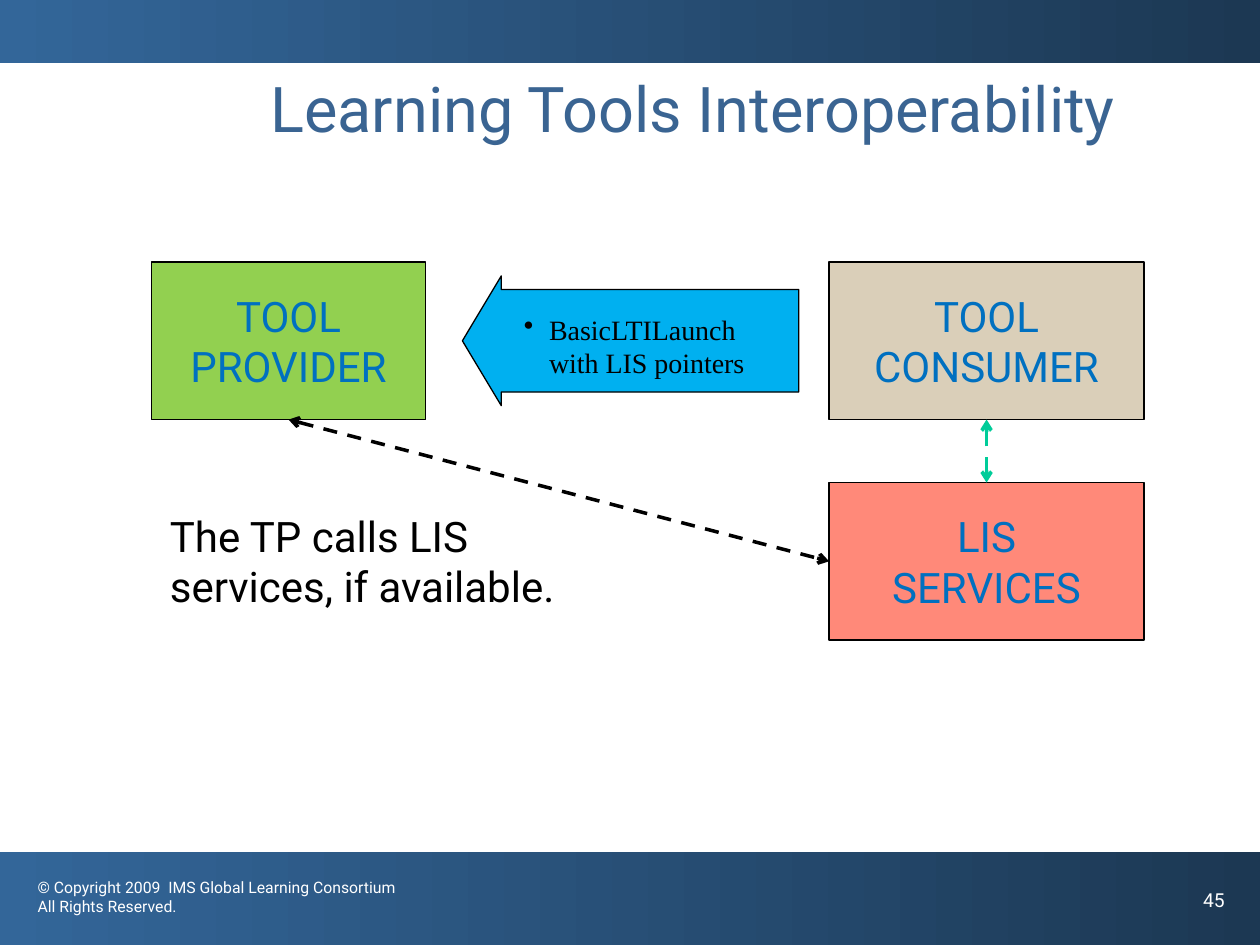
from lxml.etree import SubElement
from pptx import Presentation
from pptx.dml.color import RGBColor
from pptx.enum.dml import MSO_LINE
from pptx.enum.shapes import MSO_CONNECTOR, MSO_SHAPE
from pptx.enum.text import MSO_ANCHOR, PP_ALIGN
from pptx.oxml.ns import qn
from pptx.util import Inches, Pt

COLORS = {
    "band_light": "336699", "band_dark": "1C3853", "white": "FFFFFF",
    "title": "3A6492", "label": "0070C0", "black": "000000",
    "provider": "92D050", "consumer": "DACFB9", "services": "FF8979",
    "launch": "00B0F0", "sync": "00CC99",
}
BOTTOM, LEFT, TOP = 2, 1, 0


def rgb(name):
    """Return the named colour."""
    return RGBColor.from_string(COLORS[name])


def set_format(target, values):
    """Set every attribute in values on target."""
    for name, value in values.items():
        setattr(target, name, value)


def write_text(shape, lines, size, color, font="Roboto", anchor=MSO_ANCHOR.TOP, **paragraph_format):
    """Write one paragraph per line into a shape."""
    frame = shape.text_frame
    set_format(frame, {"word_wrap": True, "vertical_anchor": anchor})
    for index, line in enumerate(lines):
        paragraph = frame.paragraphs[0] if index == 0 else frame.add_paragraph()
        set_format(paragraph, paragraph_format)
        run = paragraph.add_run()
        run.text = line
        set_format(run.font, {"size": Pt(size), "name": font})
        run.font.color.rgb = rgb(color)


def add_text(slide, left, top, width, height, lines, size, color, **options):
    """Add a text box, measured in inches."""
    box = slide.shapes.add_textbox(Inches(left), Inches(top), Inches(width), Inches(height))
    write_text(box, lines, size, color, **options)
    return box


def add_outlined(slide, kind, left, top, width, height, color):
    """Add a filled shape with a thin black outline."""
    shape = slide.shapes.add_shape(kind, Inches(left), Inches(top), Inches(width), Inches(height))
    shape.shadow.inherit = False
    shape.fill.solid()
    shape.fill.fore_color.rgb = rgb(color)
    shape.line.color.rgb = rgb("black")
    shape.line.width = Pt(0.75)
    return shape


def add_band(slide, top, height):
    """Add a full-width gradient band."""
    band = slide.shapes.add_shape(MSO_SHAPE.RECTANGLE, 0, Inches(top), Inches(10), Inches(height))
    band.shadow.inherit = False
    band.line.fill.background()
    band.fill.gradient()
    band.fill.gradient_angle = 0
    for stop, position, color in zip(band.fill.gradient_stops, (0, 1), ("band_light", "band_dark")):
        stop.position = position
        stop.color.rgb = rgb(color)


def add_footer(slide, top, height):
    """Add the footer band with copyright and slide number."""
    add_band(slide, top, height)
    copyright_lines = ["© Copyright 2009  IMS Global Learning Consortium", "All Rights Reserved."]
    add_text(slide, 0.2, top + 0.16, 3.13, 0.5, copyright_lines, 9, "white")
    add_text(slide, 9.45, top + 0.24, 0.55, 0.5, ["45"], 11, "white")


def add_system(slide, left, top, width, height, lines, color):
    """Add a labelled system box."""
    box = add_outlined(slide, MSO_SHAPE.RECTANGLE, left, top, width, height, color)
    write_text(box, lines, 24, "label", anchor=MSO_ANCHOR.MIDDLE, alignment=PP_ALIGN.CENTER)
    return box


def add_launch(slide, left, top, width, height):
    """Add the launch arrow with its bulleted caption."""
    arrow = add_outlined(slide, MSO_SHAPE.LEFT_ARROW, left, top, width, height, "launch")
    arrow.adjustments[0] = 0.79
    arrow.adjustments[1] = 0.3
    caption = add_text(slide, left + 0.39, top + 0.24, 2.03, 0.9,
                       ["BasicLTILaunch with LIS pointers"], 16, "black", font="Times New Roman")
    properties = caption.text_frame.paragraphs[0]._p.get_or_add_pPr()
    properties.set("marL", str(Inches(0.2)))
    properties.set("indent", str(-Inches(0.2)))
    SubElement(properties, qn("a:buChar"), char="•")


def add_link(slide, start, start_site, end, end_site, color):
    """Join two boxes with a dashed double-headed connector."""
    link = slide.shapes.add_connector(MSO_CONNECTOR.STRAIGHT, 0, 0, 0, 0)
    link.begin_connect(start, start_site)
    link.end_connect(end, end_site)
    link.line.color.rgb = rgb(color)
    set_format(link.line, {"width": Pt(2), "dash_style": MSO_LINE.DASH})
    for tag in ("a:headEnd", "a:tailEnd"):
        SubElement(link.line._get_or_add_ln(), qn(tag), type="arrow")
    SubElement(link._element.spPr, qn("a:effectLst"))


def add_diagram(slide, left, top):
    """Add the systems, their links and the remark."""
    right = left + 5.38
    provider = add_system(slide, left, top, 2.18, 1.25, ["TOOL PROVIDER"], "provider")
    consumer = add_system(slide, right, top, 2.5, 1.25, ["TOOL CONSUMER"], "consumer")
    add_launch(slide, left + 2.47, top + 0.11, 2.67, 1.03)
    services = add_system(slide, right, top + 1.75, 2.5, 1.25, ["LIS", "SERVICES"], "services")
    add_link(slide, provider, BOTTOM, services, LEFT, "black")
    add_link(slide, services, TOP, consumer, BOTTOM, "sync")
    add_text(slide, left + 0.05, top + 1.92, 3.92, 0.9,
             ["The TP calls LIS", "services, if available."], 24, "black")


def main():
    """Build and save the slide."""
    presentation = Presentation()
    set_format(presentation, {"slide_width": Inches(10), "slide_height": Inches(7.5)})
    slide = presentation.slides.add_slide(presentation.slide_layouts[6])
    add_footer(slide, 6.76, 0.74)
    add_band(slide, 0, 0.5)
    add_text(slide, 1.25, 0.55, 8.5, 1.25, ["Learning Tools Interoperability"], 36, "title",
             alignment=PP_ALIGN.CENTER, line_spacing=0.95)
    add_diagram(slide, 1.2, 2.08)
    presentation.save("out.pptx")


if __name__ == "__main__":
    main()
